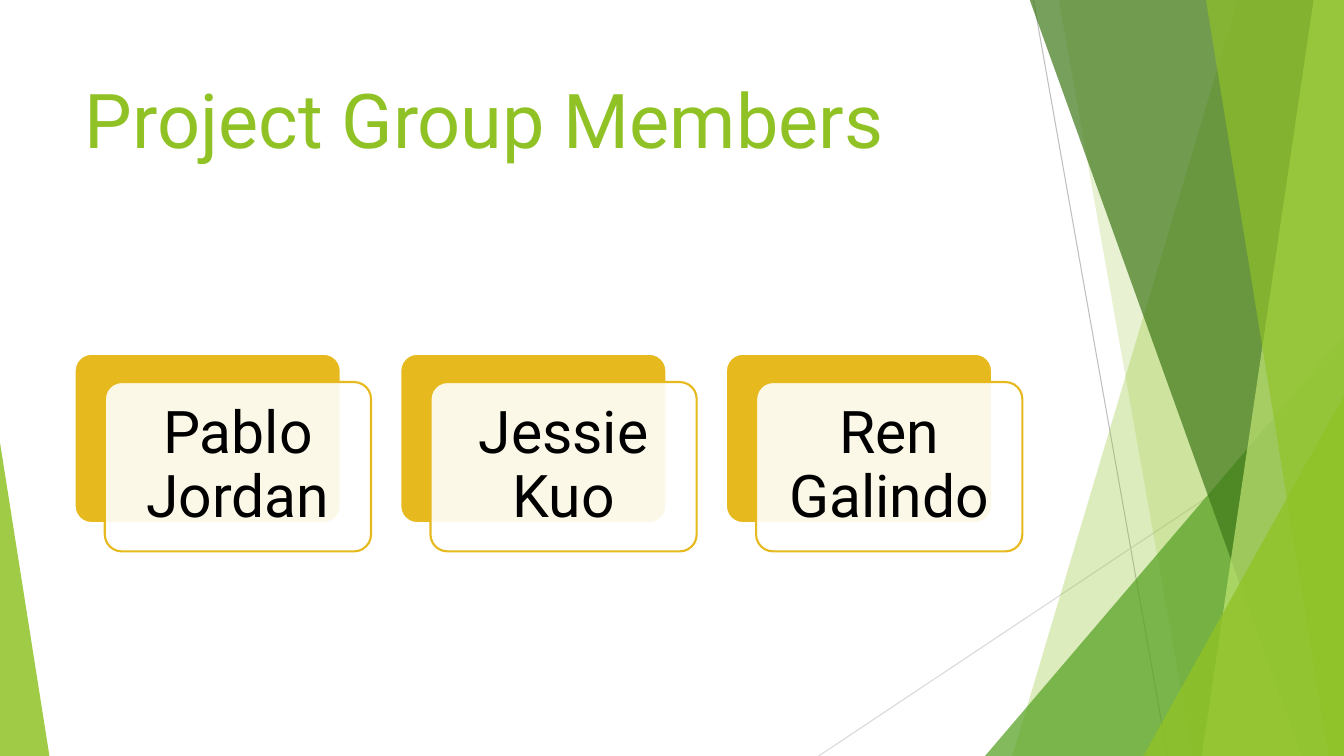
"""Build the project group members slide with its faceted green backdrop."""
from lxml import etree
from pptx import Presentation
from pptx import util as u
from pptx.dml.color import RGBColor
from pptx.enum import shapes, text
from pptx.oxml.ns import qn

GREEN = RGBColor(0x90, 0xC2, 0x26)
MID_GREEN = RGBColor(0x54, 0xA0, 0x21)
DARK_GREEN = RGBColor(0x3F, 0x78, 0x19)
PALE_GREEN = RGBColor(0xC0, 0xE4, 0x74)
GOLD = RGBColor(0xE6, 0xB9, 0x1E)
GREY = RGBColor(0xBF, 0xBF, 0xBF)
LIGHT_GREY = RGBColor(0xD9, 0xD9, 0xD9)
WHITE = RGBColor(0xFF, 0xFF, 0xFF)
BLACK = RGBColor(0, 0, 0)

PX = 9144
WIDTH, HEIGHT = 1333, 750
CARD_W, CARD_H = 264, 168
CARD_LEFT, CARD_TOP, CARD_PITCH = 74, 351, 323


class Deck:
    font = "Roboto"

    def __init__(self, prs):
        self.s = prs.slides.add_slide(prs.slide_layouts[5])

    def style(self, sp, fill, opacity=100, line=None):
        sp.shadow.inherit = False
        sp.fill.solid()
        sp.fill.fore_color.rgb = fill
        if opacity < 100:
            clr = sp._element.spPr.find(qn("a:solidFill"))[0]
            etree.SubElement(clr, qn("a:alpha")).set("val", str(opacity * 1000))
        if line is None:
            sp.line.fill.background()
        else:
            sp.line.color.rgb = line
            sp.line.width = u.Pt(1.5)

    def label(self, tf, words, size, color, align):
        p = tf.paragraphs[0]
        p.text = words
        p.alignment = align
        p.font.name = self.font
        p.font.size = u.Pt(size)
        p.font.color.rgb = color
        return p

    def title(self, words, x, y, w, h):
        sp = self.s.shapes.title
        sp.left, sp.top, sp.width, sp.height = (v * PX for v in (x, y, w, h))
        tf = sp.text_frame
        tf.word_wrap = True
        tf.auto_size = text.MSO_AUTO_SIZE.NONE
        tf.vertical_anchor = text.MSO_ANCHOR.TOP
        self.label(tf, words, 54, GREEN, text.PP_ALIGN.LEFT)

    def line(self, x1, y1, x2, y2, color):
        cx = self.s.shapes.add_connector(
            shapes.MSO_CONNECTOR.STRAIGHT, *(v * PX for v in (x1, y1, x2, y2)))
        cx.line.color.rgb = color
        cx.line.width = u.Pt(0.75)
        etree.SubElement(cx._element.spPr, qn("a:effectLst"))

    def facet(self, top_x, bottom_x, color, opacity):
        fb = self.s.shapes.build_freeform(top_x, -1, scale=PX)
        fb.add_line_segments(
            [(WIDTH, -1), (WIDTH, HEIGHT), (bottom_x, HEIGHT)], close=True)
        self.style(fb.convert_to_shape(), color, opacity)

    def shape(self, kind, x, y, w, h, adj, fill, opacity=100, line=None):
        sp = self.s.shapes.add_shape(kind, *(v * PX for v in (x, y, w, h)))
        sp.adjustments[0] = adj
        self.style(sp, fill, opacity, line)
        return sp

    def triangle(self, x, y, w, apex, color, opacity):
        self.shape(shapes.MSO_SHAPE.ISOSCELES_TRIANGLE,
                   x, y, w, HEIGHT - y, apex, color, opacity)

    def card(self, x, y, name):
        kind = shapes.MSO_SHAPE.ROUNDED_RECTANGLE
        self.shape(kind, x, y, CARD_W, CARD_H, 0.1, GOLD, line=WHITE)
        sp = self.shape(kind, x + 30, y + 28, CARD_W, CARD_H, 0.1, WHITE, 90, GOLD)
        tf = sp.text_frame
        tf.word_wrap = True
        tf.vertical_anchor = text.MSO_ANCHOR.MIDDLE
        tf.margin_left = tf.margin_right = tf.margin_top = tf.margin_bottom = 17 * PX
        p = self.label(tf, name, 42, BLACK, text.PP_ALIGN.CENTER)
        p.line_spacing = 0.9


def main():
    prs = Presentation()
    prs.slide_width, prs.slide_height = WIDTH * PX, HEIGHT * PX
    d = Deck(prs)
    d.line(1025, 0, 1158, HEIGHT, GREY)
    d.line(WIDTH, 403, 812, HEIGHT, LIGHT_GREY)
    d.facet(1228, 1004, GREEN, 30)
    d.facet(1050, 1183, GREEN, 20)
    d.triangle(977, 333, 356, 1, MID_GREEN, 72)
    d.facet(1021, 1291, DARK_GREEN, 70)
    d.facet(1303, 1192, PALE_GREEN, 70)
    d.facet(1196, 1318, GREEN, 65)
    d.triangle(1134, 393, 199, 1, GREEN, 80)
    d.triangle(0, 439, 49, 0, GREEN, 85)
    d.title("Project Group Members", 74, 67, 940, 144)
    for i, name in enumerate(("Pablo Jordan", "Jessie Kuo", "Ren Galindo")):
        d.card(CARD_LEFT + i * CARD_PITCH, CARD_TOP, name)
    prs.save("out.pptx")


if __name__ == "__main__":
    main()
